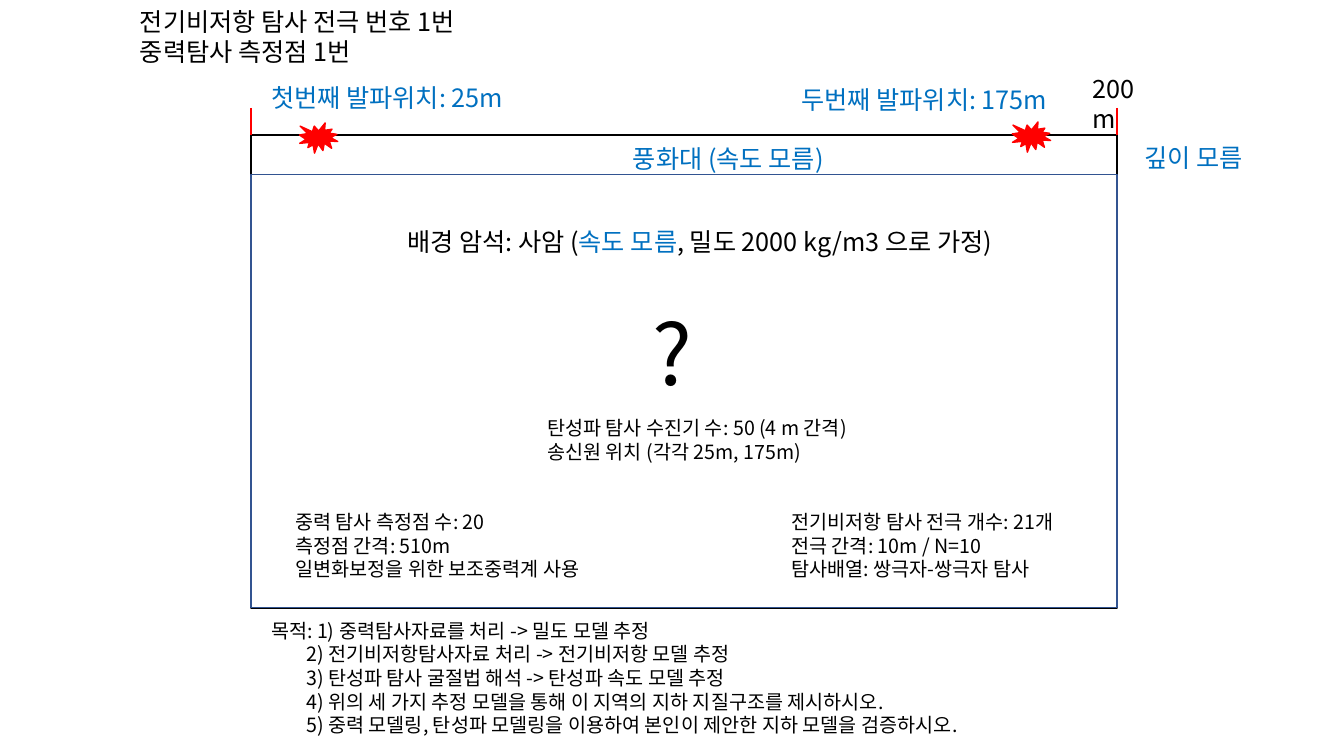
import pptx
import pptx.util
import pptx.dml.color
import pptx.enum.shapes
import pptx.enum.text
import pptx.oxml.ns
from dataclasses import dataclass
from lxml import etree
from pptx.util import Inches, Pt

SHAPES = pptx.enum.shapes.MSO_SHAPE


@dataclass(frozen=True)
class Theme:
    font: str = "Noto Sans CJK KR"
    black: str = "000000"
    blue: str = "0070C0"
    navy: str = "325491"
    red: str = "FF0000"
    small: int = 14
    body: int = 18
    huge: int = 60


T = Theme()


def rgb(value):
    return pptx.dml.color.RGBColor.from_string(value)


def sub(parent, tag):
    return etree.SubElement(parent, pptx.oxml.ns.qn(tag))


def add_text(s, text, x, y, w, h, size=T.body, color=T.black, hanging=0):
    tb = s.shapes.add_textbox(Inches(x), Inches(y), Inches(w), Inches(h))
    tf = tb.text_frame
    tf.word_wrap = True
    tf.auto_size = pptx.enum.text.MSO_AUTO_SIZE.SHAPE_TO_FIT_TEXT
    lines = [text] if isinstance(text, str) else text
    for i, line in enumerate(lines):
        p = tf.paragraphs[0] if i == 0 else tf.add_paragraph()
        if i and hanging:
            p._p.get_or_add_pPr().set("marL", str(Inches(hanging)))
        runs = [(line, color)] if isinstance(line, str) else line
        for content, run_color in runs:
            r = p.add_run()
            r.text = content
            r.font.size = Pt(size)
            r.font.name = T.font
            r.font.color.rgb = rgb(run_color)
            sub(r._r.get_or_add_rPr(), "a:ea").set("typeface", T.font)


def add_shape(s, kind, x, y, w, h, line, fill=None):
    sp = s.shapes.add_shape(kind, Inches(x), Inches(y), Inches(w), Inches(h))
    sp.shadow.inherit = False
    if fill:
        sp.fill.solid()
        sp.fill.fore_color.rgb = rgb(fill)
    else:
        sp.fill.background()
    sp.line.color.rgb = rgb(line)
    sp.line.width = Pt(1)


def add_tick(s, x, y, h):
    c = s.shapes.add_connector(pptx.enum.shapes.MSO_CONNECTOR.STRAIGHT,
                               Inches(x), Inches(y), Inches(x), Inches(y + h))
    c.line.color.rgb = rgb(T.red)
    c.line.width = Pt(1.5)
    sub(c._element.spPr, "a:effectLst")


def add_heading(s, x, y, w, h):
    add_text(s, ["전기비저항 탐사 전극 번호 1번", "중력탐사 측정점 1번"], x, y, w, h)


def add_ground(s, x, y, w, h, cover=0.39):
    add_shape(s, SHAPES.RECTANGLE, x, y, w, h, T.black)
    add_shape(s, SHAPES.RECTANGLE, x, y + cover, w, h - cover, T.navy)
    add_text(s, "풍화대 (속도 모름)", x + 3.69, y + 0.03, 2.3, 0.4, color=T.blue)
    add_text(s, "깊이 모름", x + w + 0.17, y + 0.02, 1.3, 0.4, color=T.blue)
    add_text(s, [[("배경 암석: 사암 (", T.black), ("속도 모름", T.blue),
                  (", 밀도 2000 kg/m3 으로 가정)", T.black)]],
             x + 1.45, y + 0.86, 6.6, 0.4)
    add_text(s, "?", x + 3.88, y + 1.6, 0.59, 1.11, size=T.huge)


def add_surface(s, x, y, w):
    for tick_x in (x, x + w):
        add_tick(s, tick_x, y - 0.27, 0.27)
    add_text(s, "200m", x + w - 0.34, y - 0.66, 0.84, 0.4)
    shots = [("첫번째 발파위치: 25m", 0.1, -0.57, 2.7, 0.48, -0.12),
             ("두번째 발파위치: 175m", 5.36, -0.55, 2.84, 7.55, -0.13)]
    for label, dx, dy, label_w, blast_dx, blast_dy in shots:
        add_text(s, label, x + dx, y + dy, label_w, 0.4, color=T.blue)
        add_shape(s, SHAPES.EXPLOSION1, x + blast_dx, y + blast_dy,
                  0.38, 0.3, T.red, fill=T.red)


def add_surveys(s, x, y):
    surveys = [
        (["탄성파 탐사 수진기 수: 50 (4 m 간격)", "송신원 위치 (각각 25m, 175m)"],
         2.84, 2.74, 3.5, 0.57),
        (["중력 탐사 측정점 수: 20", "측정점 간격: 510m",
          "일변화보정을 위한 보조중력계 사용"], 0.34, 3.67, 3.35, 0.81),
        (["전기비저항 탐사 전극 개수: 21개", "전극 간격: 10m / N=10",
          "탐사배열: 쌍극자-쌍극자 탐사"], 5.26, 3.67, 3.09, 0.81),
    ]
    for lines, dx, dy, w, h in surveys:
        add_text(s, lines, x + dx, y + dy, w, h, size=T.small)


def add_goals(s, x, y, w, h):
    add_text(s, ["목적: 1) 중력탐사자료를 처리 -> 밀도 모델 추정",
                 "2) 전기비저항탐사자료 처리 -> 전기비저항 모델 추정",
                 "3) 탄성파 탐사 굴절법 해석 -> 탄성파 속도 모델 추정",
                 "4) 위의 세 가지 추정 모델을 통해 이 지역의 지하 지질구조를 제시하시오.",
                 "5) 중력 모델링, 탄성파 모델링을 이용하여 본인이 제안한 지하 모델을 검증하시오."],
             x, y, w, h, size=T.small, hanging=0.35)


def main():
    prs = pptx.Presentation()
    prs.slide_width, prs.slide_height = Inches(13.33), Inches(7.5)
    s = prs.slides.add_slide(prs.slide_layouts[6])
    x, y, w, h = 2.49, 1.34, 8.59, 4.69
    add_heading(s, 1.29, 0.01, 3.73, 0.71)
    add_ground(s, x, y, w, h)
    add_surface(s, x, y, w)
    add_surveys(s, x, y)
    add_goals(s, x + 0.1, y + h + 0.06, 7.97, 1.28)
    prs.save("out.pptx")


if __name__ == "__main__":
    main()
